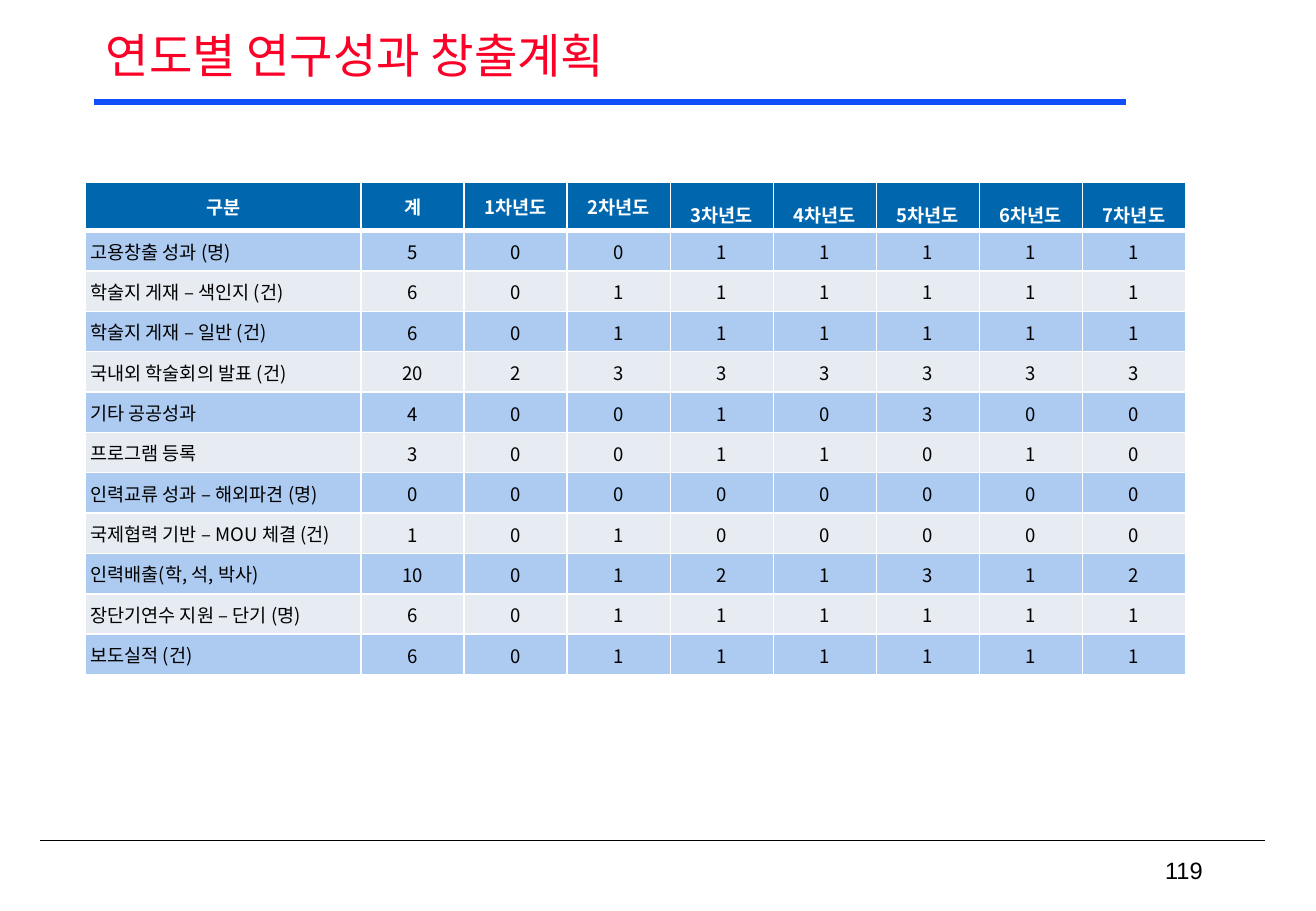
"""Build the slide with the yearly plan of research outcomes."""
from lxml import etree
from pptx import Presentation
from pptx.dml.color import RGBColor
from pptx.enum.shapes import MSO_CONNECTOR
from pptx.enum.text import MSO_ANCHOR, MSO_AUTO_SIZE, PP_ALIGN
from pptx.oxml.ns import qn
from pptx.util import Pt

STRAIGHT = MSO_CONNECTOR.STRAIGHT
MIDDLE = MSO_ANCHOR.MIDDLE
NO_AUTOFIT = MSO_AUTO_SIZE.NONE
LEFT, CENTER, RIGHT, JUSTIFY = PP_ALIGN.LEFT, PP_ALIGN.CENTER, PP_ALIGN.RIGHT, PP_ALIGN.JUSTIFY

THEME = {
    "latin": "Arial", "korean": "Noto Sans CJK KR",
    "title": "FC0128", "rule": "114FFB", "text": "000000", "white": "FFFFFF",
    "header": "0067AF", "bands": ("ADCAF0", "E7EBF2"),
    "title_size": 28, "page_size": 14, "table_size": 11,
}

HEADINGS = ["구분", "계"] + [f"{year}차년도" for year in range(1, 8)]
OUTCOMES = [
    ("고용창출 성과 (명)", 5, 0, 0, 1, 1, 1, 1, 1),
    ("학술지 게재 – 색인지 (건)", 6, 0, 1, 1, 1, 1, 1, 1),
    ("학술지 게재 – 일반 (건)", 6, 0, 1, 1, 1, 1, 1, 1),
    ("국내외 학술회의 발표 (건)", 20, 2, 3, 3, 3, 3, 3, 3),
    ("기타 공공성과", 4, 0, 0, 1, 0, 3, 0, 0),
    ("프로그램 등록", 3, 0, 0, 1, 1, 0, 1, 0),
    ("인력교류 성과 – 해외파견 (명)", 0, 0, 0, 0, 0, 0, 0, 0),
    ("국제협력 기반 – MOU 체결 (건)", 1, 0, 1, 0, 0, 0, 0, 0),
    ("인력배출(학, 석, 박사)", 10, 0, 1, 2, 1, 3, 1, 2),
    ("장단기연수 지원 – 단기 (명)", 6, 0, 1, 1, 1, 1, 1, 1),
    ("보도실적 (건)", 6, 0, 1, 1, 1, 1, 1, 1),
]


def write_text(text_frame, text, font_name, size, color, alignment, bold=False, line_spacing=1.0):
    """Fill a text frame with one formatted paragraph."""
    paragraph = text_frame.paragraphs[0]
    paragraph.alignment = alignment
    paragraph.line_spacing = line_spacing
    run = paragraph.add_run()
    run.text = text
    for name, value in {"name": font_name, "size": Pt(size), "bold": bold}.items():
        setattr(run.font, name, value)
    run.font.color.rgb = RGBColor.from_string(color)
    east_asian = etree.SubElement(run.font._element, qn("a:ea"))
    east_asian.set("typeface", THEME["korean"])


def add_border(cell, side, width):
    """Draw a white border on one side of a table cell."""
    line = etree.SubElement(cell._tc.get_or_add_tcPr(), qn(f"a:ln{side}"), w=str(Pt(width)))
    fill = etree.SubElement(line, qn("a:solidFill"))
    etree.SubElement(fill, qn("a:srgbClr"), val=THEME["white"])


presentation = Presentation()
presentation.slide_width = Pt(780)
presentation.slide_height = Pt(540)
slide = presentation.slides.add_slide(presentation.slide_layouts[5])

for start, end, y, color, width in [
    (24, 750, 498.2, THEME["text"], 1),
    (55.5, 667.5, 60.5, THEME["rule"], 3.75),
]:
    connector = slide.shapes.add_connector(STRAIGHT, Pt(start), Pt(y), Pt(end), Pt(y))
    connector.line.color.rgb = RGBColor.from_string(color)
    connector.line.width = Pt(width)
    etree.SubElement(connector._element.spPr, qn("a:effectLst"))

title = slide.shapes.title
title_box = {"left": 55.5, "top": 12.2, "width": 669, "height": 44.6}
for name, value in title_box.items():
    setattr(title, name, Pt(value))
page_number = slide.shapes.add_textbox(Pt(558), Pt(504), Pt(162), Pt(23.8))
for text_frame, wrap in ((title.text_frame, True), (page_number.text_frame, False)):
    frame_format = {"auto_size": NO_AUTOFIT, "vertical_anchor": MIDDLE, "word_wrap": wrap}
    for name, value in frame_format.items():
        setattr(text_frame, name, value)
write_text(title.text_frame, "연도별 연구성과 창출계획", THEME["latin"], THEME["title_size"],
           THEME["title"], JUSTIFY, line_spacing=0.9)
write_text(page_number.text_frame, "119", THEME["latin"], THEME["page_size"], THEME["text"], RIGHT)

label_width, value_width, row_height = 163.4, 61.1, 23.94
rows = [HEADINGS] + OUTCOMES
table = slide.shapes.add_table(
    len(rows), len(HEADINGS), Pt(50.6), Pt(108.3),
    Pt(label_width + value_width * (len(HEADINGS) - 1)), Pt(row_height * len(rows)),
).table
table.horz_banding = False
for index, column in enumerate(table.columns):
    column.width = Pt(value_width if index else label_width)
for row in table.rows:
    row.height = Pt(row_height)

for row_index, values in enumerate(rows):
    is_header = row_index == 0
    background = THEME["header"] if is_header else THEME["bands"][(row_index - 1) % 2]
    for column_index, value in enumerate(values):
        cell = table.cell(row_index, column_index)
        is_tall = is_header and column_index > 3
        if is_tall:
            margins = (1.44, 1.44, 1.44, 1.44)
        elif is_header:
            margins = (7.2, 3.6, 7.2, 3.6)
        elif column_index == 0:
            margins = (2.88, 0, 0, 0)
        else:
            margins = (0.72, 0.72, 0.72, 0)
        for side, margin in zip(("left", "top", "right", "bottom"), margins):
            setattr(cell, f"margin_{side}", Pt(margin))
        cell.vertical_anchor = MIDDLE
        border_widths = {"L": 1, "R": 1, "T": 3 if row_index == 1 else 1, "B": 3 if is_header else 1}
        for side, width in border_widths.items():
            add_border(cell, side, width)
        cell.fill.solid()
        cell.fill.fore_color.rgb = RGBColor.from_string(background)
        write_text(cell.text_frame, str(value), THEME["korean"], THEME["table_size"],
                   THEME["white"] if is_header else THEME["text"],
                   CENTER if is_header or column_index else LEFT,
                   bold=is_header, line_spacing=1.6 if is_tall else 1.0)

presentation.save("out.pptx")
